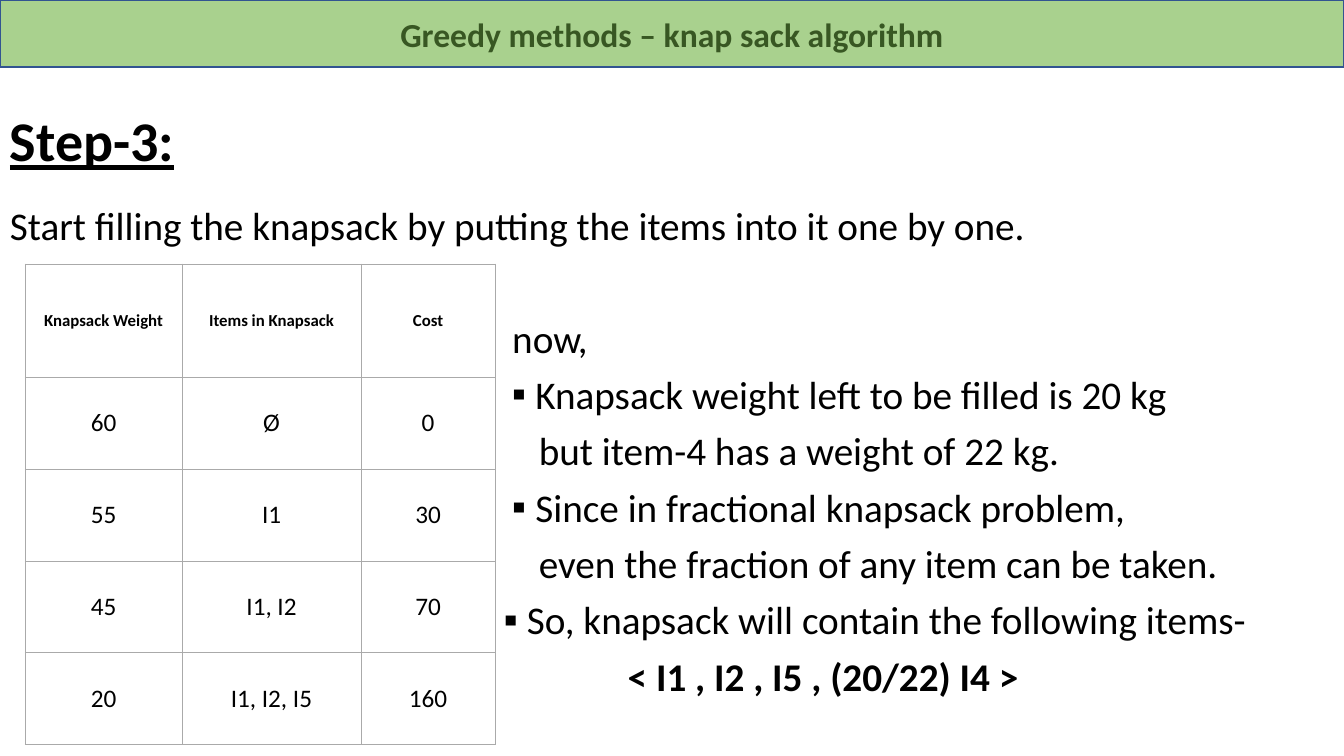
from dataclasses import dataclass

import pptx
import pptx.dml.color
import pptx.enum.shapes
import pptx.enum.text
import pptx.oxml
import pptx.oxml.ns
import pptx.util
from lxml import etree

Pt = pptx.util.Pt
ALIGN = pptx.enum.text.PP_ALIGN
MIDDLE = pptx.enum.text.MSO_ANCHOR.MIDDLE


@dataclass(frozen=True)
class Theme:
    """Colours, font and type sizes of the slide."""
    font: str = "Calibri"
    ink: str = "000000"
    paper: str = "FFFFFF"
    banner_fill: str = "A9D18E"
    banner_line: str = "325491"
    banner_ink: str = "385723"
    grid: str = "AAAAAA"
    banner_size: float = 24
    step_size: float = 40
    body_size: float = 28
    head_size: float = 12
    cell_size: float = 18


THEME = Theme()

HISTORY = [
    ("Knapsack Weight", "Items in Knapsack", "Cost"),
    ("60", "Ø", "0"),
    ("55", "I1", "30"),
    ("45", "I1, I2", "70"),
    ("20", "I1, I2, I5", "160"),
]
COLUMN_WIDTHS = (112, 128, 95.5)
HEAD_HEIGHT, ROW_HEIGHT = 81, 65.6

BULLET_GAP = 16.5
# Text, left edge of its line, bulleted, bold
REASONING = [
    ("now,", 6, False, False),
    ("Knapsack weight left to be filled is 20 kg", 6, True, False),
    ("but item-4 has a weight of 22 kg.", 25, False, False),
    ("Since in fractional knapsack problem,", 6, True, False),
    ("even the fraction of any item can be taken.", 25, False, False),
    ("So, knapsack will contain the following items-", 0, True, False),
    ("< I1 , I2 , I5 , (20/22) I4 >", 88.5, False, True),
]


def rgb(code):
    """Turn a hex code into a colour."""
    return pptx.dml.color.RGBColor.from_string(code)


def style(paragraph, size, color=THEME.ink, bold=False, underline=False):
    """Format every run of a paragraph."""
    for run in paragraph.runs:
        font = run.font
        font.name, font.size = THEME.font, Pt(size)
        font.bold, font.underline = bold, underline
        font.color.rgb = rgb(color)


def add_frame(slide, box):
    """Add a wrapping text box and return its text frame."""
    frame = slide.shapes.add_textbox(*map(Pt, box)).text_frame
    frame.word_wrap = True
    return frame


def set_indent(paragraph, left, bulleted):
    """Indent a paragraph, with a hanging square bullet if asked."""
    properties = paragraph._p.get_or_add_pPr()
    hang = BULLET_GAP if bulleted else 0
    properties.set("marL", str(int(Pt(left + hang))))
    properties.set("indent", str(-int(Pt(hang))))
    if bulleted:
        qn = pptx.oxml.ns.qn
        etree.SubElement(properties, qn("a:buFont")).set("typeface", THEME.font)
        etree.SubElement(properties, qn("a:buChar")).set("char", "▪")


def add_banner(slide, box, topic):
    """Draw the topic bar across the top."""
    banner = slide.shapes.add_shape(
        pptx.enum.shapes.MSO_SHAPE.RECTANGLE, *map(Pt, box))
    banner.shadow.inherit = False
    banner.fill.solid()
    banner.fill.fore_color.rgb = rgb(THEME.banner_fill)
    banner.line.color.rgb = rgb(THEME.banner_line)
    banner.line.width = Pt(1)
    frame = banner.text_frame
    frame.text = topic
    frame.vertical_anchor = MIDDLE
    frame.paragraphs[0].alignment = ALIGN.CENTER
    style(frame.paragraphs[0], THEME.banner_size, THEME.banner_ink, bold=True)


def add_step(slide, box, step):
    """Write the underlined step heading."""
    frame = add_frame(slide, box)
    frame.text = step
    frame.vertical_anchor = MIDDLE
    frame.paragraphs[0].line_spacing = 0.9
    style(frame.paragraphs[0], THEME.step_size, bold=True, underline=True)


def add_instruction(slide, box, instruction):
    """Write the sentence that says what the step does."""
    frame = add_frame(slide, box)
    frame.text = instruction
    frame.paragraphs[0].line_spacing = 0.9
    style(frame.paragraphs[0], THEME.body_size)


def add_reasoning(slide, box, lines):
    """Write the argument beside the table, one paragraph a line."""
    frame = add_frame(slide, box)
    frame.text = "\n".join(line[0] for line in lines)
    for index, (paragraph, line) in enumerate(zip(frame.paragraphs, lines)):
        _, left, bulleted, bold = line
        paragraph.line_spacing = 0.9
        paragraph.space_before = Pt(10 if index else 0)
        set_indent(paragraph, left, bulleted)
        style(paragraph, THEME.body_size, bold=bold)


def set_borders(cell):
    """Give a cell thin lines on all four sides."""
    properties = cell._tc.get_or_add_tcPr()
    for index, side in enumerate(("lnL", "lnR", "lnT", "lnB")):
        properties.insert(index, pptx.oxml.parse_xml(
            f'<a:{side} {pptx.oxml.ns.nsdecls("a")} w="{int(Pt(0.6))}">'
            f'<a:solidFill><a:srgbClr val="{THEME.grid}"/></a:solidFill>'
            f'</a:{side}>'))


def add_history(slide, left, top, rows):
    """Build the table of knapsack states."""
    height = HEAD_HEIGHT + ROW_HEIGHT * (len(rows) - 1)
    table = slide.shapes.add_table(
        len(rows), len(COLUMN_WIDTHS), Pt(left), Pt(top),
        Pt(sum(COLUMN_WIDTHS)), Pt(height)).table
    for column, width in zip(table.columns, COLUMN_WIDTHS):
        column.width = Pt(width)
    for index, values in enumerate(rows):
        is_head = index == 0
        table.rows[index].height = Pt(HEAD_HEIGHT if is_head else ROW_HEIGHT)
        for cell, value in zip(table.rows[index].cells, values):
            cell.text = value
            cell.fill.solid()
            cell.fill.fore_color.rgb = rgb(THEME.paper)
            cell.vertical_anchor = MIDDLE
            cell.margin_left = cell.margin_right = Pt(6)
            cell.margin_top = cell.margin_bottom = Pt(5)
            paragraph = cell.text_frame.paragraphs[0]
            paragraph.alignment = ALIGN.CENTER
            style(paragraph, THEME.head_size if is_head else THEME.cell_size,
                  bold=is_head)
            set_borders(cell)


def build():
    """Assemble the slide and save it."""
    deck = pptx.Presentation()
    deck.slide_width, deck.slide_height = Pt(960), Pt(540)
    slide = deck.slides.add_slide(deck.slide_layouts[6])
    add_step(slide, (0, 72, 894, 61), "Step-3:")
    add_instruction(
        slide, (0, 144, 960, 40),
        "Start filling the knapsack by putting the items into it one by one.")
    add_reasoning(slide, (352.8, 224.5, 607.2, 290), REASONING)
    add_banner(slide, (0, 0, 960, 48), "Greedy methods – knap sack algorithm")
    add_history(slide, 18, 188.5, HISTORY)
    deck.save("out.pptx")


build()
